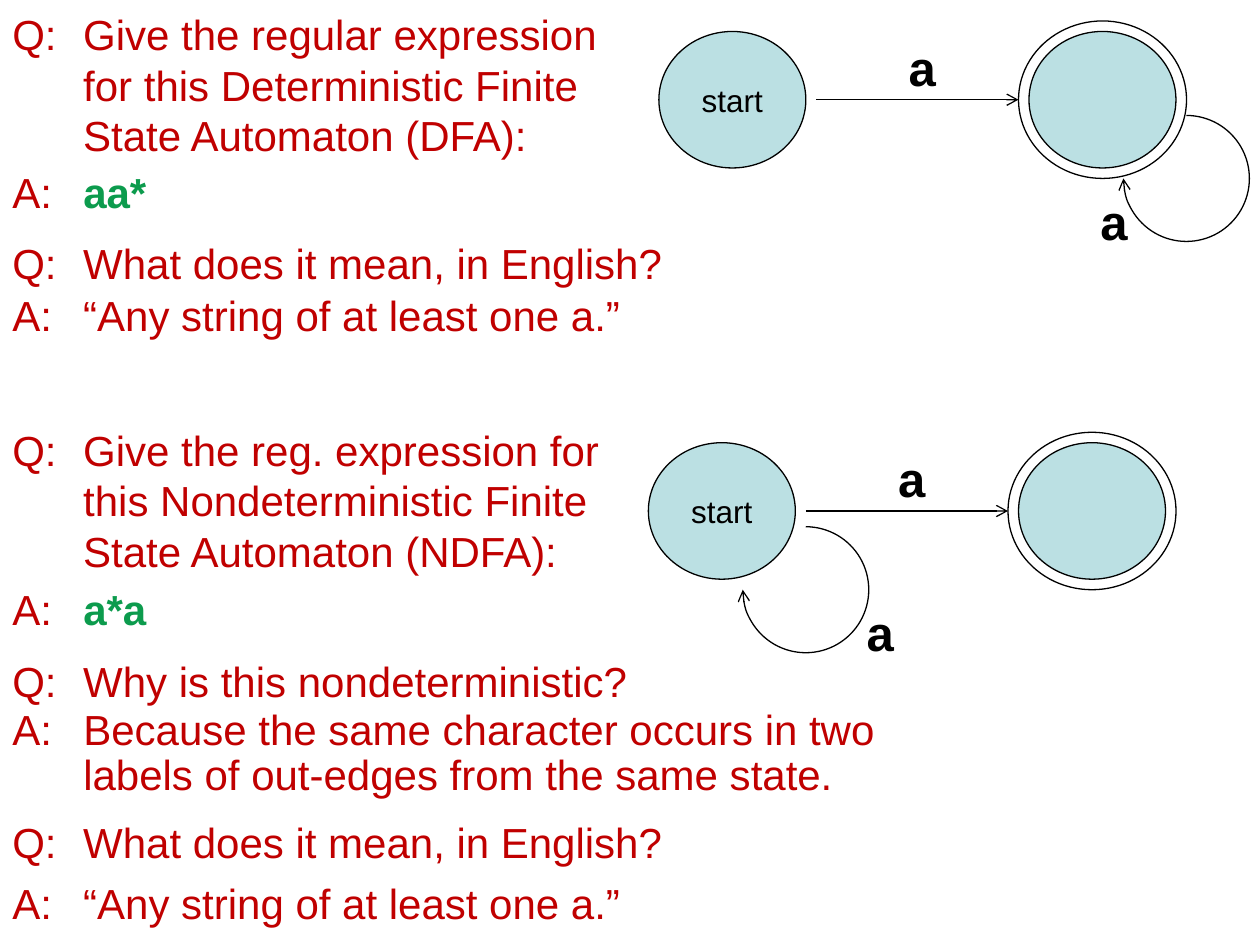
import pptx
import pptx.util
import pptx.dml.color
import pptx.enum.shapes
import pptx.enum.text
import pptx.oxml
from dataclasses import dataclass

Pt = pptx.util.Pt
RGB = pptx.dml.color.RGBColor.from_string
SHAPE = pptx.enum.shapes.MSO_SHAPE
CENTER = pptx.enum.text.PP_ALIGN.CENTER
MIDDLE = pptx.enum.text.MSO_ANCHOR.MIDDLE


@dataclass(frozen=True)
class Theme:
    font: str = "Arial"
    text: str = "C00000"
    regex: str = "0C9B4D"
    ink: str = "000000"
    state: str = "BBE0E3"
    body: int = 24
    label: int = 28
    start: int = 18
    line: float = 0.75
    indent: float = 40.5
    space: float = 4.8


THEME = Theme()

# top, width, mark, text, is a regular expression, line spacing
QUESTIONS = [
    (1.5, 354, "Q:", "Give the regular expression for this Deterministic "
     "Finite State Automaton (DFA):", False, None),
    (91.5, 348, "A:", "aa*", True, None),
    (132, 462, "Q:", "What does it mean, in English?", False, None),
    (162, 462, "A:", "“Any string of at least one a.”", False, None),
    (239, 365, "Q:", "Give the reg. expression for this Nondeterministic "
     "Finite State Automaton (NDFA):", False, None),
    (330, 348, "A:", "a*a", True, None),
    (371, 462, "Q:", "Why is this nondeterministic?", False, None),
    (401.5, 522, "A:", "Because the same character occurs in two labels of "
     "out-edges from the same state.", False, 0.9),
    (463, 462, "Q:", "What does it mean, in English?", False, None),
    (498, 462, "A:", "“Any string of at least one a.”", False, None),
]


def set_font(font, size, color, bold=None):
    font.name, font.size, font.bold = THEME.font, Pt(size), bold
    font.color.rgb = RGB(color)


def add_text(shapes, x, y, w, h):
    tf = shapes.add_textbox(Pt(x), Pt(y), Pt(w), Pt(h)).text_frame
    tf.word_wrap = True
    return tf


def add_question(s, top, width, mark, text, is_regex, spacing):
    """One line of the dialogue, with a hanging indent after its mark."""
    p = add_text(s.shapes, 0, top, width, 41).paragraphs[0]
    set_font(p.font, THEME.body, THEME.text)
    p.space_before = Pt(THEME.space)
    p.line_spacing = spacing
    pPr = p._p.get_or_add_pPr()
    pPr.set("marL", str(Pt(THEME.indent)))
    pPr.set("indent", str(-Pt(THEME.indent)))
    p.add_run().text = mark + "\t"
    r = p.add_run()
    r.text = text
    if is_regex:
        r.font.bold = True
        r.font.color.rgb = RGB(THEME.regex)


def add_label(shapes, x, y, w, h):
    p = add_text(shapes, x, y, w, h).paragraphs[0]
    p.text = "a"
    p.alignment = CENTER
    set_font(p.font, THEME.label, THEME.ink, True)


def set_line(sp):
    sp.line.color.rgb = RGB(THEME.ink)
    sp.line.width = Pt(THEME.line)


def add_arrowhead(sp):
    tail = pptx.oxml.parse_xml(
        '<a:tailEnd xmlns:a="http://schemas.openxmlformats.org/drawingml/'
        '2006/main" type="arrow"/>')
    sp.line._get_or_add_ln().append(tail)


def add_outline(shapes, kind, x, y, w, h, fill=None):
    sp = shapes.add_shape(kind, Pt(x), Pt(y), Pt(w), Pt(h))
    sp.shadow.inherit = False
    if fill:
        sp.fill.solid()
        sp.fill.fore_color.rgb = RGB(fill)
    else:
        sp.fill.background()
    set_line(sp)
    return sp


def add_state(shapes, x, y, text=""):
    sp = add_outline(shapes, SHAPE.OVAL, x, y, 84, 78, THEME.state)
    if text:
        tf = sp.text_frame
        tf.margin_left = tf.margin_right = tf.margin_top = tf.margin_bottom = 0
        tf.vertical_anchor = MIDDLE
        p = tf.paragraphs[0]
        p.text = text
        p.alignment = CENTER
        set_font(p.font, THEME.start, THEME.ink)


def add_edge(shapes, x1, x2, y):
    cx = shapes.add_connector(pptx.enum.shapes.MSO_CONNECTOR.STRAIGHT,
                              Pt(x1), Pt(y), Pt(x2), Pt(y))
    set_line(cx)
    add_arrowhead(cx)
    cx._element.spPr.append(pptx.oxml.parse_xml(
        '<a:effectLst xmlns:a="http://schemas.openxmlformats.org/drawingml/'
        '2006/main"/>'))


def add_loop(shapes, x, y):
    """Three quarters of a circle, clockwise from the top to the left."""
    arc = add_outline(shapes, SHAPE.ARC, x, y, 72, 72)
    arc.adjustments[0], arc.adjustments[1] = 162, 108
    add_arrowhead(arc)


def add_automaton(s, x, y, loop_dx, loop_label_dx):
    """Start state, edge and accepting state; the loop's place varies."""
    shapes = s.shapes.add_group_shape().shapes
    add_state(shapes, x, y, "start")
    add_state(shapes, x + 211.5, y)
    add_edge(shapes, x + 90, x + 205.5, y + 39)
    add_label(shapes, x + 90, y, 121, 42)
    add_loop(shapes, x + loop_dx, y + 48)
    add_label(shapes, x + loop_label_dx, y + 88, 132, 36)
    # Ring that marks the accepting state
    add_outline(s.shapes, SHAPE.OVAL, x + 205.5, y - 6, 96, 90)


def main():
    prs = pptx.Presentation()
    prs.slide_width, prs.slide_height = Pt(720), Pt(540)
    s = prs.slides.add_slide(prs.slide_layouts[6])

    # Deterministic, then nondeterministic automaton
    add_automaton(s, 376.5, 18, 265.5, 194)
    add_automaton(s, 370.5, 253, 54, 66.5)

    # Questions and answers
    for question in QUESTIONS:
        add_question(s, *question)

    prs.save("out.pptx")


if __name__ == "__main__":
    main()
